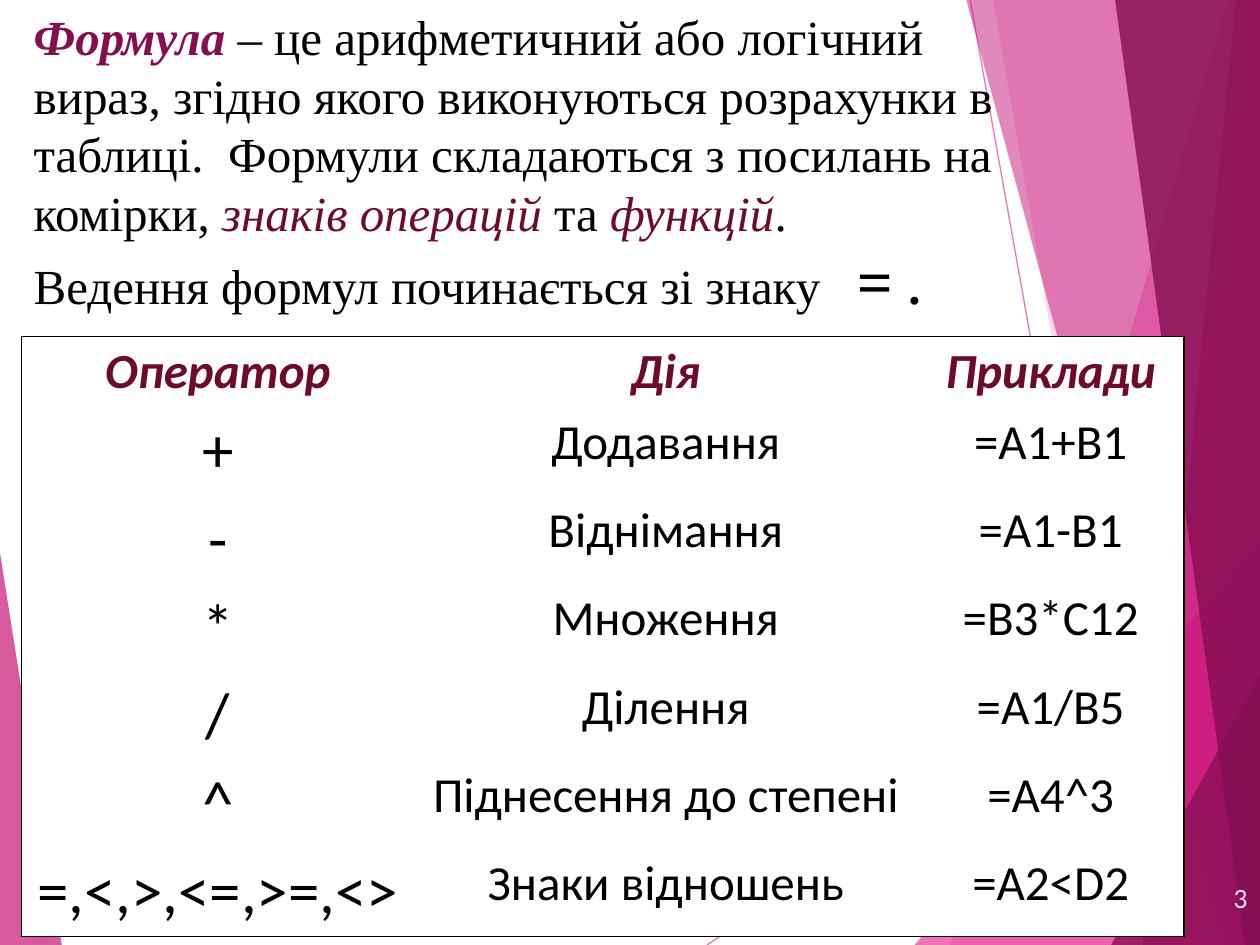
from lxml.etree import SubElement
from pptx import Presentation
from pptx.dml.color import RGBColor
from pptx.enum.shapes import MSO_CONNECTOR
from pptx.enum.text import MSO_ANCHOR as ANCHOR, MSO_AUTO_SIZE as AUTO, PP_ALIGN as ALIGN
from pptx.oxml.ns import qn
from pptx.util import Pt

PINK = RGBColor(0xEA, 0x3C, 0x9E)
MAGENTA = RGBColor(0xC7, 0x15, 0x79)
PLUM = RGBColor(0x85, 0x0E, 0x51)
WINE = RGBColor(0x6E, 0x0A, 0x2A)
PALE = RGBColor(0xFB, 0xD8, 0xEC)
BLACK = RGBColor(0, 0, 0)
WHITE = RGBColor(255, 255, 255)

W, H = 720, 540
SERIF, SANS = "Times New Roman", "Calibri"

RAYS = [((404, H), (W, 329)), ((554.4, 0), (651, H))]
FACETS = [
    (PINK, 36, [(702, 0), (543, H), (W, H), (W, 0)]),
    (PINK, 20, [(567.4, 0), (661.7, H), (W, H), (W, 0)]),
    (PINK, 72, [(522.7, H), (W, 309), (W, H)]),
    (MAGENTA, 50, [(552.2, 0), (698.4, H), (W, H), (W, 0)]),
    (MAGENTA, 66, [(706.3, 0), (653, H), (W, H), (W, 0)]),
    (PLUM, 80, [(637.2, 0), (711.4, H), (W, H), (W, 0)]),
    (PLUM, 76, [(635, H), (W, 385.2), (W, H)]),
    (MAGENTA, 70, [(0, 316), (35.3, H), (0, H)]),
]

BODY = dict(size=Pt(28), name=SERIF, color=BLACK)
TERM = BODY | dict(color=WINE, italic=True)
DEFINITION = [
    [("Формула", BODY | dict(color=PLUM, bold=True, italic=True)),
     (" – це арифметичний або логічний вираз, згідно якого виконуються розрахунки в "
      "таблиці.  Формули складаються з посилань на комірки, ", BODY),
     ("знаків операцій ", TERM), ("та ", BODY), ("функцій", TERM), (".", BODY)],
    [("Ведення формул починається зі знаку   ", BODY),
     ("= ", BODY | dict(size=Pt(36), bold=True)),
     (".", BODY | dict(bold=True))],
]

HEAD = dict(size=Pt(28), name=SANS, color=WINE, bold=True, italic=True)
CELL = dict(size=Pt(28), name=SANS, color=BLACK)
SIGN = CELL | dict(size=Pt(36))
COLS = [224.6, 287.3, 152.6]
HEAD_H, ROW_H = 40.6, 50.4
OPERATORS = [
    ("Оператор", "Дія", "Приклади"),
    ("+", "Додавання", "=A1+B1"),
    ("-", "Віднімання", "=A1-B1"),
    ("*", "Множення", "=B3*C12"),
    ("/", "Ділення", "=A1/B5"),
    ("^", "Піднесення до степені", "=A4^3"),
    ("=,<,>,<=,>=,<>", "Знаки відношень", "=A2<D2"),
]


def set_alpha(fill, percent):
    """Make a solid fill partly transparent."""
    color = fill._xPr.find(qn("a:solidFill"))[0]
    SubElement(color, qn("a:alpha"), val=str(percent * 1000))


def add_run(p, text, fmt):
    """Append a run formatted from a dict of font values."""
    r = p.add_run()
    r.text = text
    for key, value in fmt.items():
        if key == "color":
            r.font.color.rgb = value
        else:
            setattr(r.font, key, value)


def add_ray(s, start, end):
    """Draw a thin translucent background line."""
    ends = [Pt(v) for v in start + end]
    line = s.shapes.add_connector(MSO_CONNECTOR.STRAIGHT, *ends)
    line.line.width = Pt(0.75)
    line.line.color.rgb = PINK
    set_alpha(line.line.fill, 70)
    SubElement(line._element.spPr, qn("a:effectLst"))


def add_facet(s, color, percent, points):
    """Draw a translucent background polygon."""
    corners = [(Pt(x), Pt(y)) for x, y in points]
    builder = s.shapes.build_freeform(*corners[0])
    builder.add_line_segments(corners[1:], close=True)
    sp = builder.convert_to_shape()
    sp.shadow.inherit = False
    sp.fill.solid()
    sp.fill.fore_color.rgb = color
    set_alpha(sp.fill, percent)
    sp.line.fill.background()


def add_text(s, box, paragraphs, align=ALIGN.LEFT, **frame):
    """Add a wrapped text box of formatted runs."""
    tf = s.shapes.add_textbox(*[Pt(v) for v in box]).text_frame
    for key, value in (dict(word_wrap=True) | frame).items():
        setattr(tf, key, value)
    for i, runs in enumerate(paragraphs):
        p = tf.add_paragraph() if i else tf.paragraphs[0]
        p.alignment = align
        for text, fmt in runs:
            add_run(p, text, fmt)


def set_borders(cell, sides):
    """Give a cell black lines on the named sides and none on the others."""
    tcPr = cell._tc.get_or_add_tcPr()
    for i, side in enumerate("LRTB"):
        ln = tcPr.makeelement(qn(f"a:ln{side}"), {"w": str(Pt(1))})
        tcPr.insert(i, ln)
        if side in sides:
            fill = SubElement(ln, qn("a:solidFill"))
            SubElement(fill, qn("a:srgbClr"), val=str(BLACK))
        else:
            SubElement(ln, qn("a:noFill"))


def add_operator_table(s, left, top):
    """Add the operator table with an outer frame only."""
    last_row, last_col = len(OPERATORS) - 1, len(COLS) - 1
    size = Pt(sum(COLS)), Pt(HEAD_H + ROW_H * last_row)
    table = s.shapes.add_table(last_row + 1, last_col + 1, Pt(left), Pt(top), *size).table
    for column, width in zip(table.columns, COLS):
        column.width = Pt(width)
    for i, texts in enumerate(OPERATORS):
        table.rows[i].height = Pt(ROW_H if i else HEAD_H)
        for j, text in enumerate(texts):
            cell = table.cell(i, j)
            cell.margin_top = cell.margin_bottom = Pt(3.2)
            cell.fill.solid()
            cell.fill.fore_color.rgb = WHITE
            edges = {"L": j == 0, "R": j == last_col, "T": i == 0, "B": i == last_row}
            set_borders(cell, [side for side, on in edges.items() if on])
            p = cell.text_frame.paragraphs[0]
            p.alignment = ALIGN.CENTER
            add_run(p, text, HEAD if i == 0 else CELL if j else SIGN)


def main():
    """Build the slide and save it."""
    prs = Presentation()
    prs.slide_width, prs.slide_height = Pt(W), Pt(H)
    s = prs.slides.add_slide(prs.slide_layouts[6])
    for start, end in RAYS:
        add_ray(s, start, end)
    for facet in FACETS:
        add_facet(s, *facet)
    add_text(s, (12.2, 0, 572.4, 186.5), DEFINITION, auto_size=AUTO.SHAPE_TO_FIT_TEXT)
    add_operator_table(s, 12.2, 192.2)
    number = [[("3", dict(size=Pt(16), name=SANS, color=PALE))]]
    add_text(s, (679.7, 498.2, 40.3, 28.8), number, ALIGN.RIGHT, vertical_anchor=ANCHOR.MIDDLE)
    prs.save("out.pptx")


if __name__ == "__main__":
    main()
